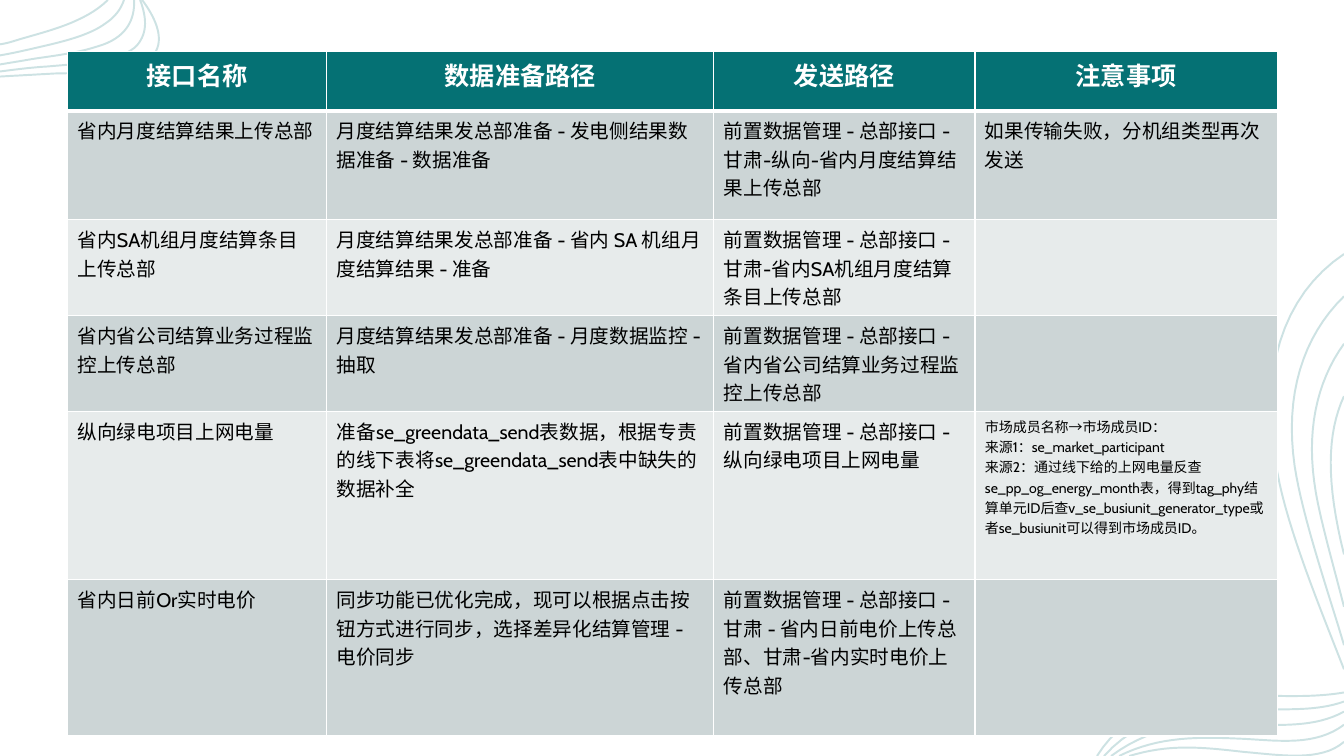
from dataclasses import dataclass

from lxml.etree import SubElement
from pptx import Presentation
from pptx.dml.color import RGBColor
from pptx.enum.text import PP_ALIGN
from pptx.oxml.ns import qn
from pptx.util import Inches, Pt


@dataclass(frozen=True)
class Theme:
    """Colours, font and type sizes of the slide."""
    teal: str = "057174"
    white: str = "FFFFFF"
    ink: str = "000000"
    bands: tuple = ("CCD5D6", "E7EBEB")
    font: str = "Cabin"
    header_size: int = 18
    body_size: int = 14
    detail_size: int = 10
    strand_width: float = 1.4
    strand_opacity: int = 20


THEME = Theme()
COLUMN_WIDTHS = (2.57, 3.84, 2.59, 3)
ROW_HEIGHTS = (0.59, 1.08, 0.95, 0.95, 1.67, 1.55)
HEADERS = ("接口名称", "数据准备路径", "发送路径", "注意事项")
INTERFACES = (
    ("省内月度结算结果上传总部",
     "月度结算结果发总部准备 - 发电侧结果数据准备 - 数据准备",
     "前置数据管理 - 总部接口 - 甘肃-纵向-省内月度结算结果上传总部",
     "如果传输失败，分机组类型再次发送"),
    ("省内SA机组月度结算条目上传总部",
     "月度结算结果发总部准备 - 省内 SA 机组月度结算结果 - 准备",
     "前置数据管理 - 总部接口 - 甘肃-省内SA机组月度结算条目上传总部",
     ""),
    ("省内省公司结算业务过程监控上传总部",
     "月度结算结果发总部准备 - 月度数据监控 - 抽取",
     "前置数据管理 - 总部接口 - 省内省公司结算业务过程监控上传总部",
     ""),
    ("纵向绿电项目上网电量",
     "准备se_greendata_send表数据，根据专责的线下表将se_greendata_send表中缺失的数据补全",
     "前置数据管理 - 总部接口 - 纵向绿电项目上网电量",
     "市场成员名称→市场成员ID：\n来源1：se_market_participant\n"
     "来源2：通过线下给的上网电量反查se_pp_og_energy_month表，得到tag_phy结算单元ID后查"
     "v_se_busiunit_generator_type或者se_busiunit可以得到市场成员ID。"),
    ("省内日前Or实时电价",
     "同步功能已优化完成，现可以根据点击按钮方式进行同步，选择差异化结算管理 - 电价同步",
     "前置数据管理 - 总部接口 - 甘肃 - 省内日前电价上传总部、甘肃-省内实时电价上传总部",
     ""),
)

TOP_LEFT_STRANDS = (
    ((0, 0.44), (0.08, 0.43), (0.16, 0.4), (0.23, 0.38),
     (0.47, 0.31), (0.85, 0.22), (1.07, 0)),
    ((1.41, 0), (1.5, 0.12), (1.62, 0.32), (1.56, 0.48), (1.48, 0.73),
     (0.97, 0.72), (0.54, 0.73), (0.36, 0.74), (0.18, 0.75), (0, 0.76)),
    ((1.39, 0), (1.45, 0.16), (1.47, 0.32), (1.36, 0.45), (1.22, 0.6),
     (0.84, 0.63), (0.47, 0.66), (0.31, 0.67), (0.15, 0.69), (0, 0.71)),
    ((1.33, 0), (1.34, 0.2), (1.25, 0.38), (0.97, 0.46), (0.79, 0.52),
     (0.57, 0.55), (0.36, 0.58), (0.24, 0.6), (0.12, 0.62), (0, 0.64)),
    ((1.23, 0), (1.2, 0.09), (1.14, 0.17), (1.05, 0.23), (0.89, 0.35),
     (0.64, 0.41), (0.38, 0.47), (0.25, 0.5), (0.12, 0.53), (0, 0.55)),
)
BOTTOM_RIGHT_STRANDS = (
    ((13.33, 3.93), (13.16, 4.3), (13.15, 4.78), (13.33, 5.5)),
    ((13.33, 3.41), (13.05, 3.8), (12.95, 4.3), (13.05, 4.88),
     (13.1, 5.18), (13.25, 5.7), (13.33, 6.02)),
    ((13.33, 2.94), (12.92, 3.34), (12.74, 3.92), (12.84, 4.62),
     (12.92, 5.15), (13.2, 5.95), (13.33, 6.4)),
    ((13.33, 2.52), (12.72, 2.93), (12.47, 3.7), (12.67, 4.69),
     (12.77, 5.25), (13.1, 6.05), (13.33, 6.64)),
    ((13.33, 6.87), (13.1, 6.91), (12.83, 6.91), (12.55, 6.9),
     (11.7, 6.86), (11.2, 7), (10.88, 7.5)),
    ((13.33, 6.96), (13.05, 7.06), (12.75, 7.03), (12.44, 7.04),
     (12, 7.05), (11.4, 7), (10.95, 7.5)),
    ((13.33, 7.06), (13.04, 7.22), (12.7, 7.19), (12.35, 7.19),
     (11.9, 7.19), (11.5, 7.15), (11.02, 7.5)),
    ((13.33, 7.19), (13.05, 7.4), (12.7, 7.35), (12.34, 7.33),
     (11.9, 7.31), (11.5, 7.3), (11.1, 7.5)),
    ((13.33, 7.36), (13.1, 7.56), (12.7, 7.49), (12.34, 7.46),
     (11.9, 7.41), (11.6, 7.38), (11.2, 7.5)),
)


def trace_curve(knots, steps=16):
    """Return points in EMU along a chain of cubic curves."""
    points = [knots[0]]
    for first in range(0, len(knots) - 1, 3):
        segment = knots[first:first + 4]
        for step in range(1, steps + 1):
            t = step / steps
            weights = ((1 - t) ** 3, 3 * t * (1 - t) ** 2, 3 * t * t * (1 - t), t ** 3)
            points.append(tuple(sum(w * knot[axis] for w, knot in zip(weights, segment))
                                for axis in (0, 1)))
    return [(Inches(x), Inches(y)) for x, y in points]


def add_strands(slide, strands):
    """Draw a corner ornament of pale curved strands."""
    curves = [trace_curve(strand) for strand in strands]
    builder = slide.shapes.build_freeform(*curves[0][0])
    for index, curve in enumerate(curves):
        if index:
            builder.move_to(*curve[0])
        builder.add_line_segments(curve[1:], close=False)
    ornament = builder.convert_to_shape()
    ornament.shadow.inherit = False
    ornament.fill.background()
    ornament.line.width = Pt(THEME.strand_width)
    ornament.line.color.rgb = RGBColor.from_string(THEME.teal)
    colour = ornament.line._ln.find(".//" + qn("a:srgbClr"))
    SubElement(colour, qn("a:alpha"), val=str(THEME.strand_opacity * 1000))


def set_borders(cell, bottom_width):
    """Give a cell white borders, with its own width at the bottom."""
    properties = cell._tc.get_or_add_tcPr()
    widths = {"a:lnL": 1, "a:lnR": 1, "a:lnT": 1, "a:lnB": bottom_width}
    for position, (tag, width) in enumerate(widths.items()):
        border = SubElement(properties, qn(tag), w=str(Pt(width)))
        fill = SubElement(border, qn("a:solidFill"))
        SubElement(fill, qn("a:srgbClr"), val=THEME.white)
        properties.insert(position, border)


def fill_cell(cell, text, background, size, is_header):
    """Write and style one table cell."""
    cell.fill.solid()
    cell.fill.fore_color.rgb = RGBColor.from_string(background)
    set_borders(cell, 3 if is_header else 1)
    cell.text_frame.text = text
    for paragraph in cell.text_frame.paragraphs:
        paragraph.alignment = PP_ALIGN.CENTER if is_header else PP_ALIGN.LEFT
        for font in [paragraph.font] + [run.font for run in paragraph.runs]:
            font.name = THEME.font
            font.size = Pt(size)
            font.bold = is_header
            font.color.rgb = RGBColor.from_string(THEME.white if is_header else THEME.ink)


def add_interface_table(slide):
    """Add the table of interfaces, paths and remarks."""
    table = slide.shapes.add_table(
        len(ROW_HEIGHTS), len(COLUMN_WIDTHS), Inches(0.67), Inches(0.51),
        Inches(sum(COLUMN_WIDTHS)), Inches(sum(ROW_HEIGHTS))).table
    for column, width in zip(table.columns, COLUMN_WIDTHS):
        column.width = Inches(width)
    for row, height in zip(table.rows, ROW_HEIGHTS):
        row.height = Inches(height)
    for column, header in enumerate(HEADERS):
        fill_cell(table.cell(0, column), header, THEME.teal, THEME.header_size, True)
    for row, interface in enumerate(INTERFACES):
        for column, text in enumerate(interface):
            size = THEME.detail_size if "\n" in text else THEME.body_size
            fill_cell(table.cell(row + 1, column), text, THEME.bands[row % 2], size, False)


def main():
    """Build the slide and save it."""
    presentation = Presentation()
    presentation.slide_width = Inches(13.33)
    presentation.slide_height = Inches(7.5)
    slide = presentation.slides.add_slide(presentation.slide_layouts[6])
    add_strands(slide, TOP_LEFT_STRANDS)
    add_strands(slide, BOTTOM_RIGHT_STRANDS)
    add_interface_table(slide)
    presentation.save("out.pptx")


if __name__ == "__main__":
    main()
